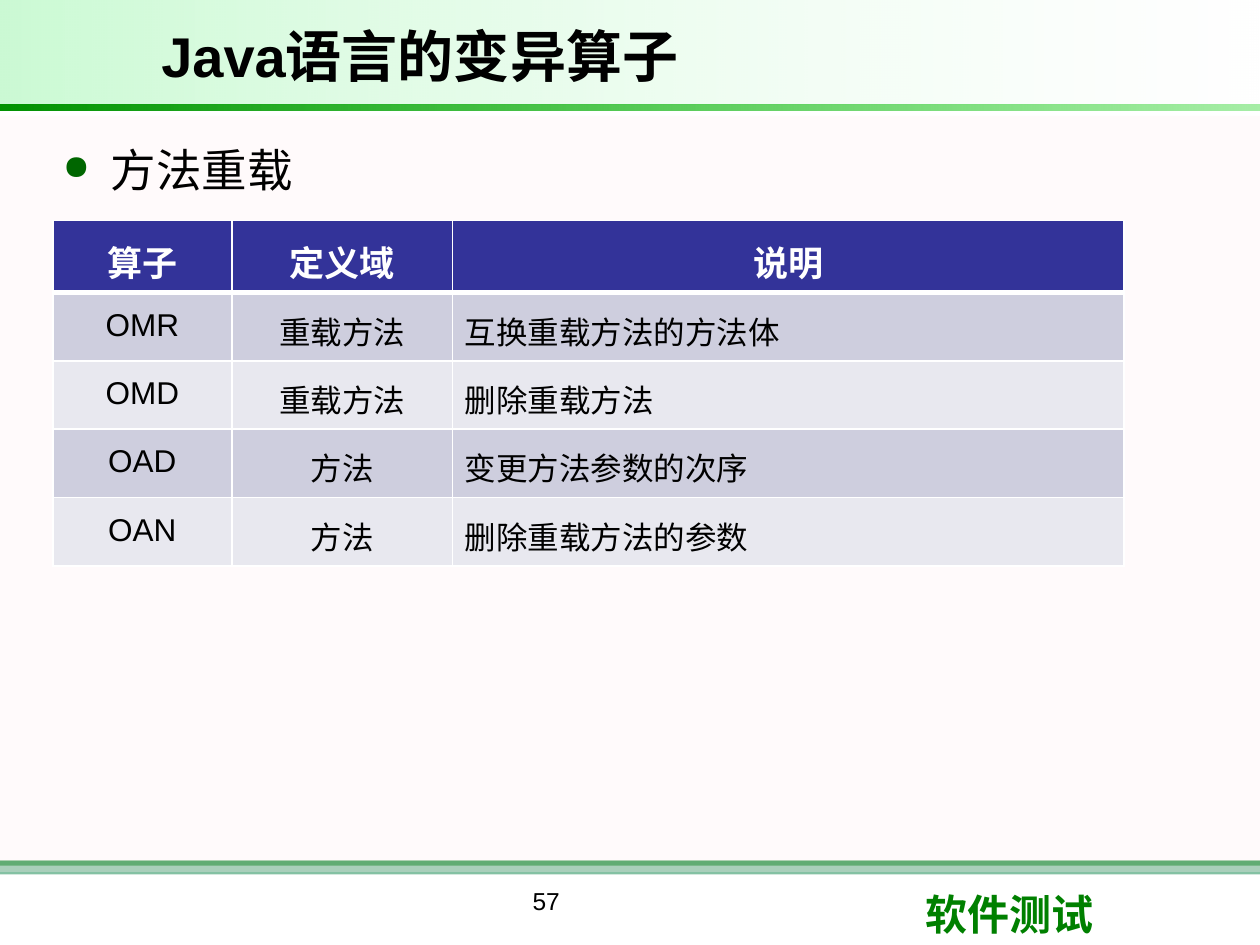
import pptx
import pptx.util
import pptx.dml.color
import pptx.enum.shapes
import pptx.enum.text
import pptx.oxml
import pptx.oxml.ns

Inches, Pt = pptx.util.Inches, pptx.util.Pt
RGB = pptx.dml.color.RGBColor
ALIGN = pptx.enum.text.PP_ALIGN
ANCHOR = pptx.enum.text.MSO_ANCHOR
qn = pptx.oxml.ns.qn
NS = pptx.oxml.ns.nsdecls("a")

BLACK = RGB(0, 0, 0)
WHITE = RGB(255, 255, 255)
GREEN = RGB(0, 128, 0)
TEAL = RGB(0x33, 0x99, 0x66)
PINK = RGB(0xFF, 0xF0, 0xF5)
LIME = RGB(0x09, 0xE7, 0x33)
LEAF = RGB(0, 0xCC, 0)
DEEP = RGB(0, 0x92, 0)
NAVY = RGB(0x33, 0x33, 0x99)
DARK = RGB(0xCE, 0xCE, 0xDE)
LIGHT = RGB(0xE8, 0xE8, 0xEF)
HAN = "Noto Sans CJK SC"

TITLE = "Java语言的变异算子"
TOPIC = "方法重载"
COURSE = "软件测试"
PAGE = "57"
ROWS = [
    ("算子", "定义域", "说明"),
    ("OMR", "重载方法", "互换重载方法的方法体"),
    ("OMD", "重载方法", "删除重载方法"),
    ("OAD", "方法", "变更方法参数的次序"),
    ("OAN", "方法", "删除重载方法的参数"),
]
WIDTHS = (1.42, 1.75, 5.33)
BARS = [
    ((0, 6.83, 10, 0.04), GREEN, 100),
    ((0, 6.83, 10, 0.11), TEAL, 60),
    ((0, 0.92, 10, 6), PINK, 30),
]
BANDS = [
    ((0, 0, 9.99, 0.83), [(WHITE, 10), (LIME, 21)]),
    ((0, 0.83, 10, 0.05), [(LEAF, 35), (DEEP, 100)]),
]


def fade(node, alpha):
    if alpha < 100:
        color = next(node.iter(qn("a:srgbClr")))
        color.append(pptx.oxml.parse_xml(f'<a:alpha {NS} val="{alpha * 1000}"/>'))


def style(para, size, color, font="Arial", bold=False, align=ALIGN.LEFT):
    para.alignment = align
    for run in para.runs:
        run.font.name = font
        run.font.size = Pt(size)
        run.font.bold = bold
        run.font.color.rgb = color
        latin = run.font._element.find(qn("a:latin"))
        latin.addnext(pptx.oxml.parse_xml(f'<a:ea {NS} typeface="{HAN}"/>'))


def add_bar(slide, box):
    kind = pptx.enum.shapes.MSO_SHAPE.RECTANGLE
    bar = slide.shapes.add_shape(kind, *map(Inches, box))
    bar.shadow.inherit = False
    bar.line.fill.background()
    return bar


def add_text(slide, box, text):
    frame = slide.shapes.add_textbox(*map(Inches, box)).text_frame
    frame.word_wrap = True
    frame.text = text
    return frame.paragraphs[0]


def add_frame(slide):
    for box, color, alpha in BARS:
        bar = add_bar(slide, box)
        bar.fill.solid()
        bar.fill.fore_color.rgb = color
        fade(bar.fill._xPr.find(qn("a:solidFill")), alpha)
    for box, stops in BANDS:
        band = add_bar(slide, box)
        band.rotation = 180
        band.fill.gradient()
        band.fill.gradient_angle = 0
        for spot, stop, (color, alpha) in zip((0, 1), band.fill.gradient_stops, stops):
            stop.position = spot
            stop.color.rgb = color
            fade(stop._gs, alpha)
    style(add_text(slide, (7.25, 7, 2.37, 0.5), COURSE), 24, GREEN, "Calibri", True)
    style(add_text(slide, (2.75, 6.98, 3.17, 0.52), PAGE), 14, BLACK, align=ALIGN.CENTER)


def add_title(slide):
    title = slide.shapes.title
    title.left, title.top, title.width, title.height = map(Inches, (1.18, 0.08, 6.97, 0.71))
    title.text_frame.text = TITLE
    title.text_frame.vertical_anchor = ANCHOR.MIDDLE
    style(title.text_frame.paragraphs[0], 32, BLACK, bold=True)
    slide.shapes._spTree.append(title._element)


def add_topic(slide):
    para = add_text(slide, (0.39, 1.08, 9.36, 5.58), TOPIC)
    props = para._p.get_or_add_pPr()
    props.set("marL", str(Inches(0.39)))
    props.set("indent", str(Inches(-0.38)))
    for bit in (
        f'<a:buClr {NS}><a:srgbClr val="006600"/></a:buClr>',
        f'<a:buSzPct {NS} val="75000"/>',
        f'<a:buChar {NS} char="●"/>',
    ):
        props.append(pptx.oxml.parse_xml(bit))
    para.space_after = Pt(6)
    style(para, 26, BLACK, HAN)


def add_edges(cell, head):
    props = cell._tc.get_or_add_tcPr()
    for spot, side in enumerate("LRTB"):
        width = Pt(3 if head and side == "B" else 1)
        props.insert(spot, pptx.oxml.parse_xml(
            f'<a:ln{side} {NS} w="{width}"><a:solidFill>'
            f'<a:srgbClr val="{WHITE}"/></a:solidFill></a:ln{side}>'))


def add_grid(slide):
    box = map(Inches, (0.42, 1.75, sum(WIDTHS), 2.71))
    table = slide.shapes.add_table(len(ROWS), len(WIDTHS), *box).table
    for col, width in zip(table.columns, WIDTHS):
        col.width = Inches(width)
    for r, row in enumerate(ROWS):
        head = r == 0
        for c, text in enumerate(row):
            cell = table.cell(r, c)
            cell.text = text
            cell.margin_left = cell.margin_right = Inches(0.1)
            cell.margin_top = cell.margin_bottom = Inches(0.12)
            cell.fill.solid()
            cell.fill.fore_color.rgb = NAVY if head else DARK if r % 2 else LIGHT
            add_edges(cell, head)
            para = cell.text_frame.paragraphs[0]
            para.space_after = Pt(3)
            align = ALIGN.CENTER if head or c < 2 else ALIGN.LEFT
            style(para, 20 if head else 18, WHITE if head else BLACK, bold=head, align=align)


def main():
    deck = pptx.Presentation()
    deck.slide_width, deck.slide_height = Inches(10), Inches(7.5)
    slide = deck.slides.add_slide(deck.slide_layouts[5])
    add_frame(slide)
    add_title(slide)
    add_topic(slide)
    add_grid(slide)
    deck.save("out.pptx")


if __name__ == "__main__":
    main()
